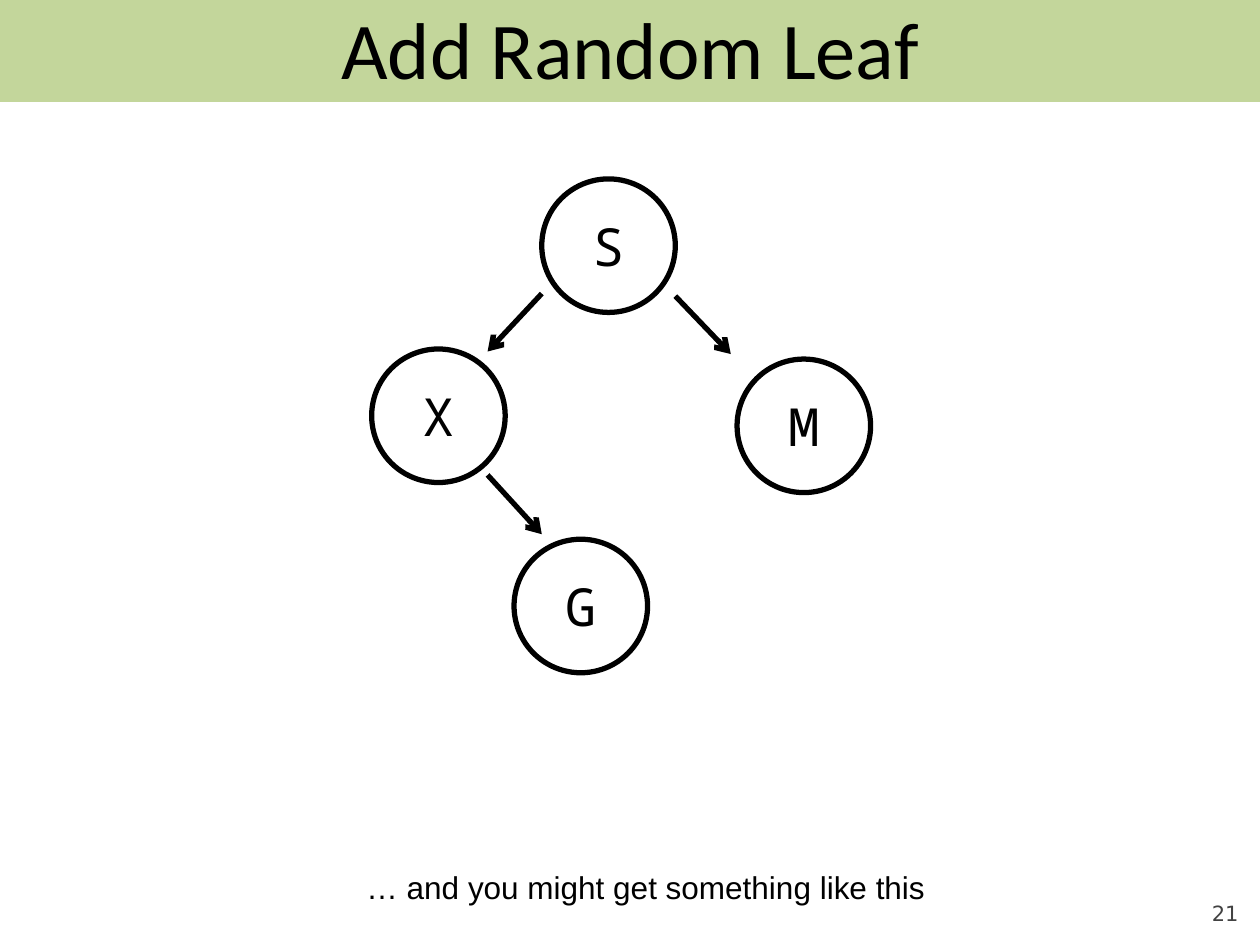
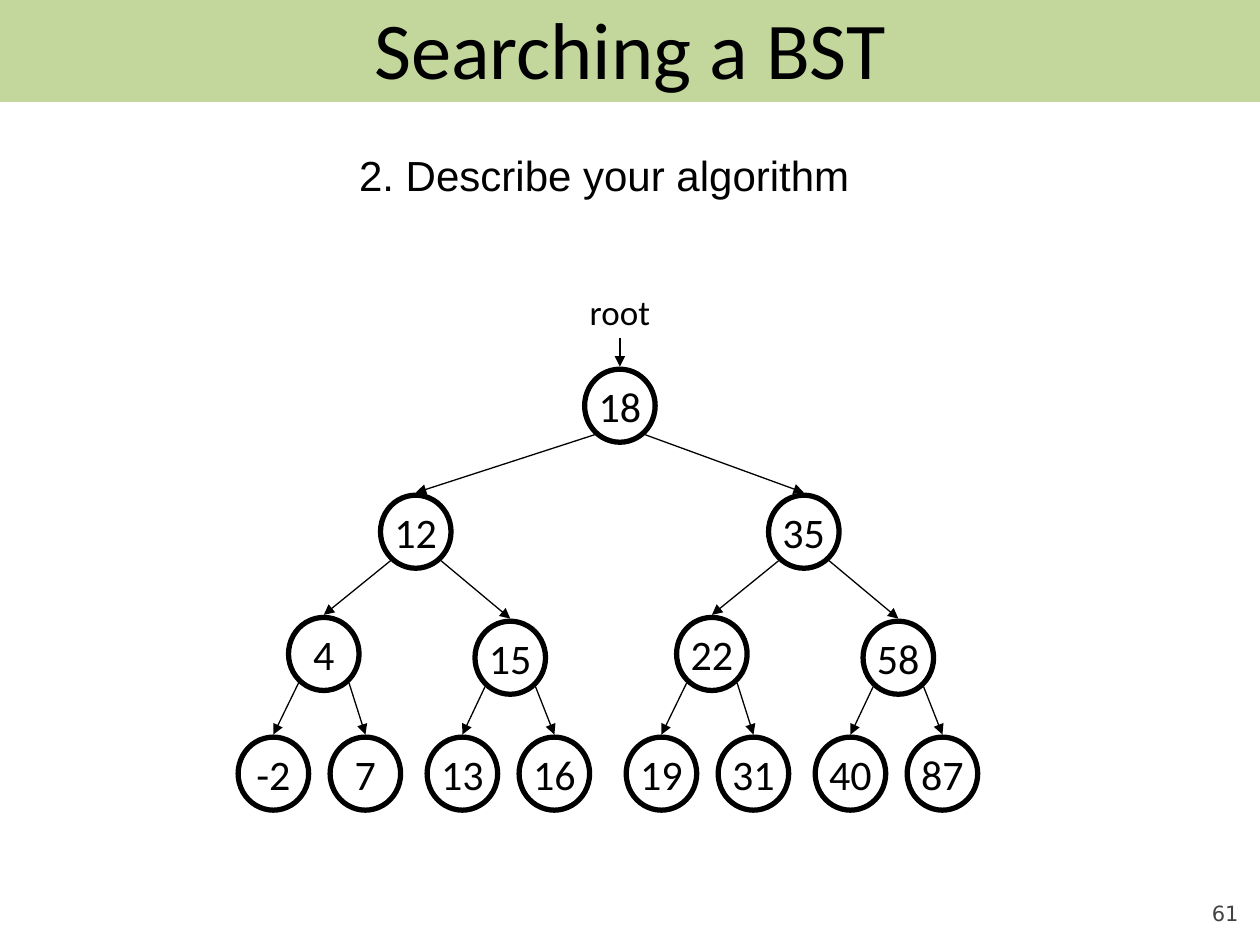
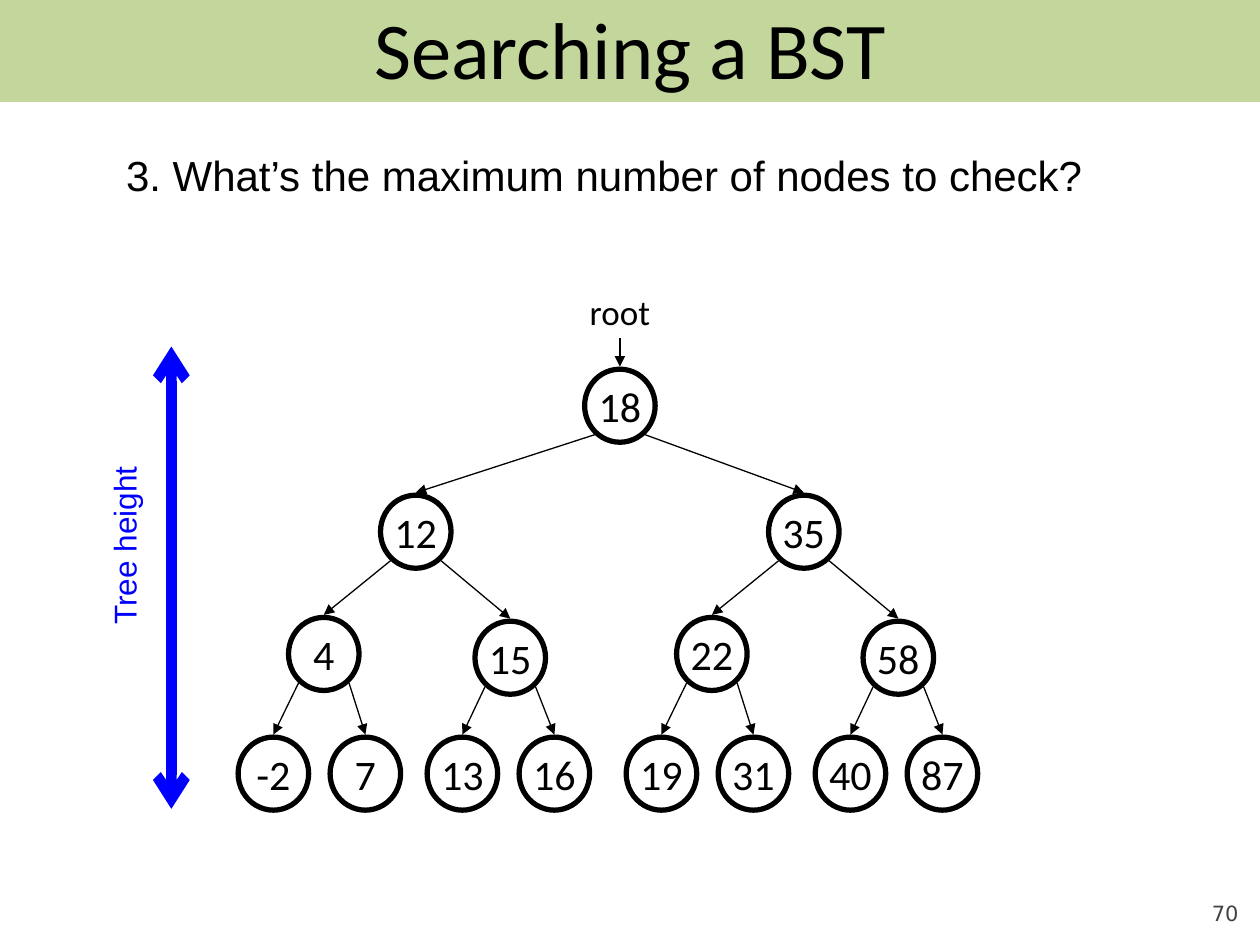
from lxml import etree
from pptx import Presentation
from pptx.dml.color import RGBColor
from pptx.enum.shapes import MSO_CONNECTOR, MSO_SHAPE
from pptx.enum.text import MSO_ANCHOR, MSO_AUTO_SIZE, PP_ALIGN
from pptx.oxml.ns import qn
from pptx.util import Inches, Pt

LINE = MSO_CONNECTOR.STRAIGHT
OVAL, RECT = MSO_SHAPE.OVAL, MSO_SHAPE.RECTANGLE
TOP, MID, LOW = MSO_ANCHOR.TOP, MSO_ANCHOR.MIDDLE, MSO_ANCHOR.BOTTOM
GROW = MSO_AUTO_SIZE.SHAPE_TO_FIT_TEXT
MIDDLE, RIGHT = PP_ALIGN.CENTER, PP_ALIGN.RIGHT

COLORS = {"band": "C3D69B", "ink": "000000", "page": "424242",
          "white": "FFFFFF", "blue": "0000FF"}
RGB = {name: RGBColor.from_string(code) for name, code in COLORS.items()}


def put(slide, box, text, font, size, color="ink", align=MIDDLE,
        anchor=MID, wrap=True, oval=False):
    place = [Inches(n) for n in box]
    if oval:
        shape = slide.shapes.add_shape(OVAL, *place)
        shape.shadow.inherit = False
        shape.fill.background()
        shape.line.color.rgb = RGB["ink"]
        shape.line.width = Pt(3)
    else:
        shape = slide.shapes.add_textbox(*place)
    frame = shape.text_frame
    frame.text = text
    frame.word_wrap = wrap
    frame.vertical_anchor = anchor
    para = frame.paragraphs[0]
    para.alignment = align
    para.font.name = font
    para.font.size = Pt(size)
    para.font.color.rgb = RGB[color]
    return shape


def link(slide, start, end, width, head, color="ink", both=False):
    line = slide.shapes.add_connector(LINE, *[Inches(n) for n in start + end])
    line.line.color.rgb = RGB[color]
    line.line.width = Pt(width)
    ends = ["a:headEnd", "a:tailEnd"] if both else ["a:tailEnd"]
    for tag in ends:
        etree.SubElement(line.line._ln, qn(tag), type=head)
    etree.SubElement(line._element.spPr, qn("a:effectLst"))


deck = Presentation()
deck.slide_width, deck.slide_height = Inches(10), Inches(7.5)

slides = []
for title, page in [("Add Random Leaf", "21"), ("Searching a BST", "61"),
                    ("Searching a BST", "70")]:
    slide = deck.slides.add_slide(deck.slide_layouts[6])
    num = put(slide, (9, 6.95, 0.83, 0.4), page, "DejaVu Sans", 12, "page", RIGHT, LOW)
    frame = num.text_frame
    frame.margin_left = frame.margin_right = frame.margin_top = frame.margin_bottom = 0
    band = slide.shapes.add_shape(RECT, 0, 0, deck.slide_width, Inches(0.81))
    band.shadow.inherit = False
    band.fill.solid()
    band.fill.fore_color.rgb = RGB["band"]
    band.line.fill.background()
    put(slide, (0.5, 0, 9, 0.75), title, "Calibri", 46)
    slides.append(slide)
leaf, plan, count = slides

for name, left, top in [("S", 4.3, 1.42), ("X", 2.95, 2.77),
                        ("M", 5.85, 2.85), ("G", 4.08, 4.28)]:
    put(leaf, (left, top, 1.06, 1.06), name, "Noto Sans Mono", 30, oval=True)
for start, end in [((5.36, 2.35), (5.8, 2.81)), ((4.3, 2.33), (3.87, 2.79)),
                   ((3.87, 3.77), (4.3, 4.24))]:
    link(leaf, start, end, 3, "arrow")
note = put(leaf, (2.76, 6.84, 4.68, 0.4), "… and you might get something like this",
           "Arial", 18, align=RIGHT, anchor=TOP, wrap=False)
note.text_frame.auto_size = GROW

WIDE, HIGH = 0.56, 0.58
SHIFT = 3.08
KEYS = [18, 12, 35, 4, 15, 22, 58, -2, 7, 13, 16, 19, 31, 40, 87]
mids = [4.92]
for row in [[3.3], [2.57, 4.05], [2.17, 2.9, 3.67, 4.4]]:
    mids += row + [x + SHIFT for x in row]
tops = [2.93] + [3.93] * 2 + [4.9, 4.93] * 2 + [5.85] * 8

for slide, ask in [(plan, "2. Describe your algorithm"),
                   (count, "3. What’s the maximum number of nodes to check?")]:
    root = put(slide, (4.58, 2.26, 0.68, 0.43), "root", "Calibri", 20,
               anchor=TOP, wrap=False)
    root.text_frame.auto_size = GROW
    link(slide, (4.92, 2.68), (4.92, 2.91), 0.75, "triangle")
    for i, (key, mid, top) in enumerate(zip(KEYS, mids, tops)):
        node = put(slide, (mid - WIDE / 2, top, WIDE, HIGH), str(key), "Calibri", 24,
                   wrap=False, oval=True)
        node.fill.solid()
        node.fill.fore_color.rgb = RGB["white"]
        if i:
            up = (i - 1) // 2
            side = -0.2 if i % 2 else 0.2
            link(slide, (mids[up] + side, tops[up] + 0.52), (mid, top - 0.02),
                 0.75, "triangle")
    head = put(slide, (0.67, 1.14, 8.25, 0.5), ask, "Arial", 24, anchor=TOP)
    head.text_frame.auto_size = GROW

link(count, (1.36, 2.75), (1.36, 6.42), 6, "arrow", "blue", both=True)
tall = put(count, (0.25, 4.14, 1.47, 0.4), "Tree height", "Arial", 18, "blue",
           RIGHT, TOP, wrap=False)
tall.text_frame.auto_size = GROW
tall.rotation = 270

deck.save("out.pptx")
